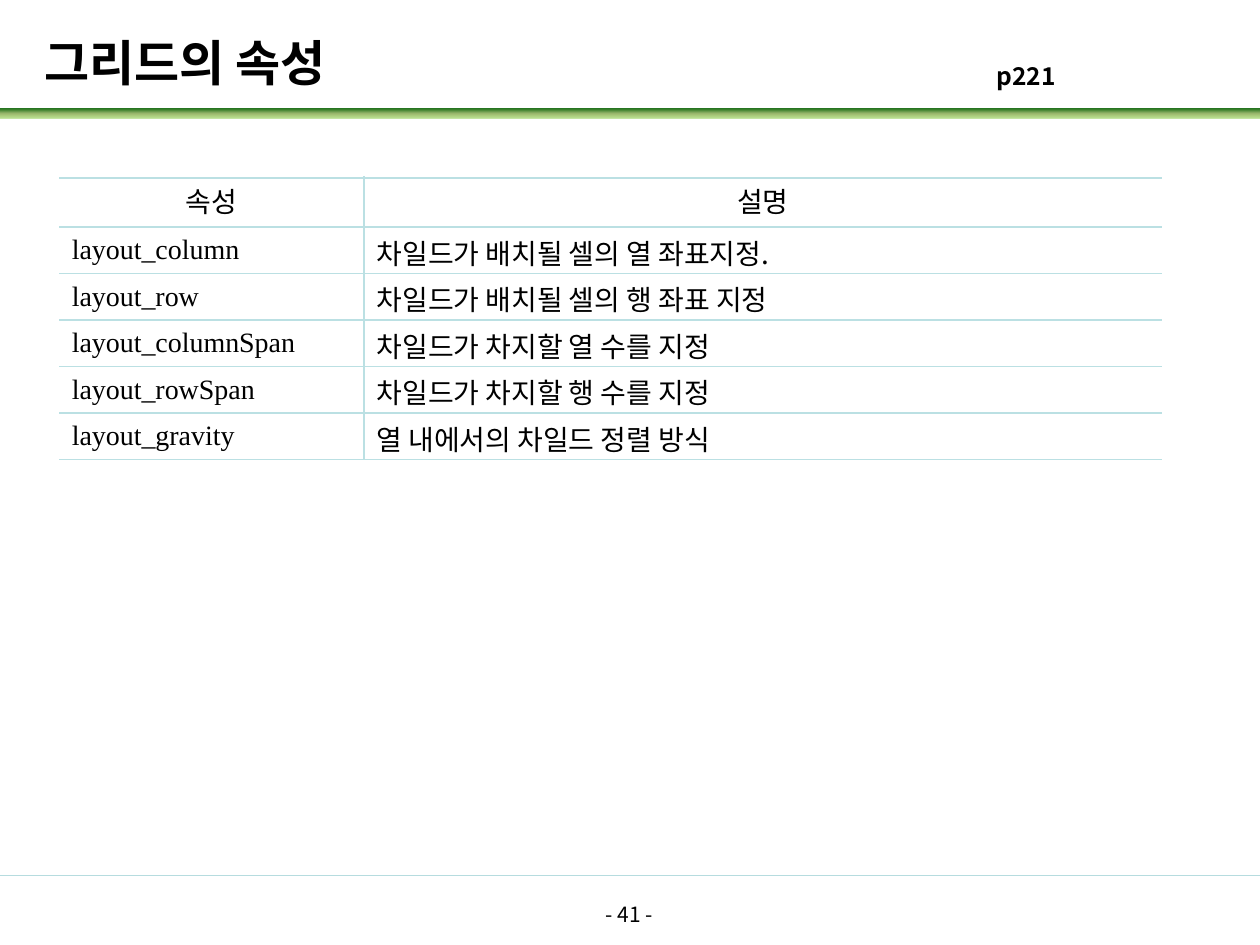
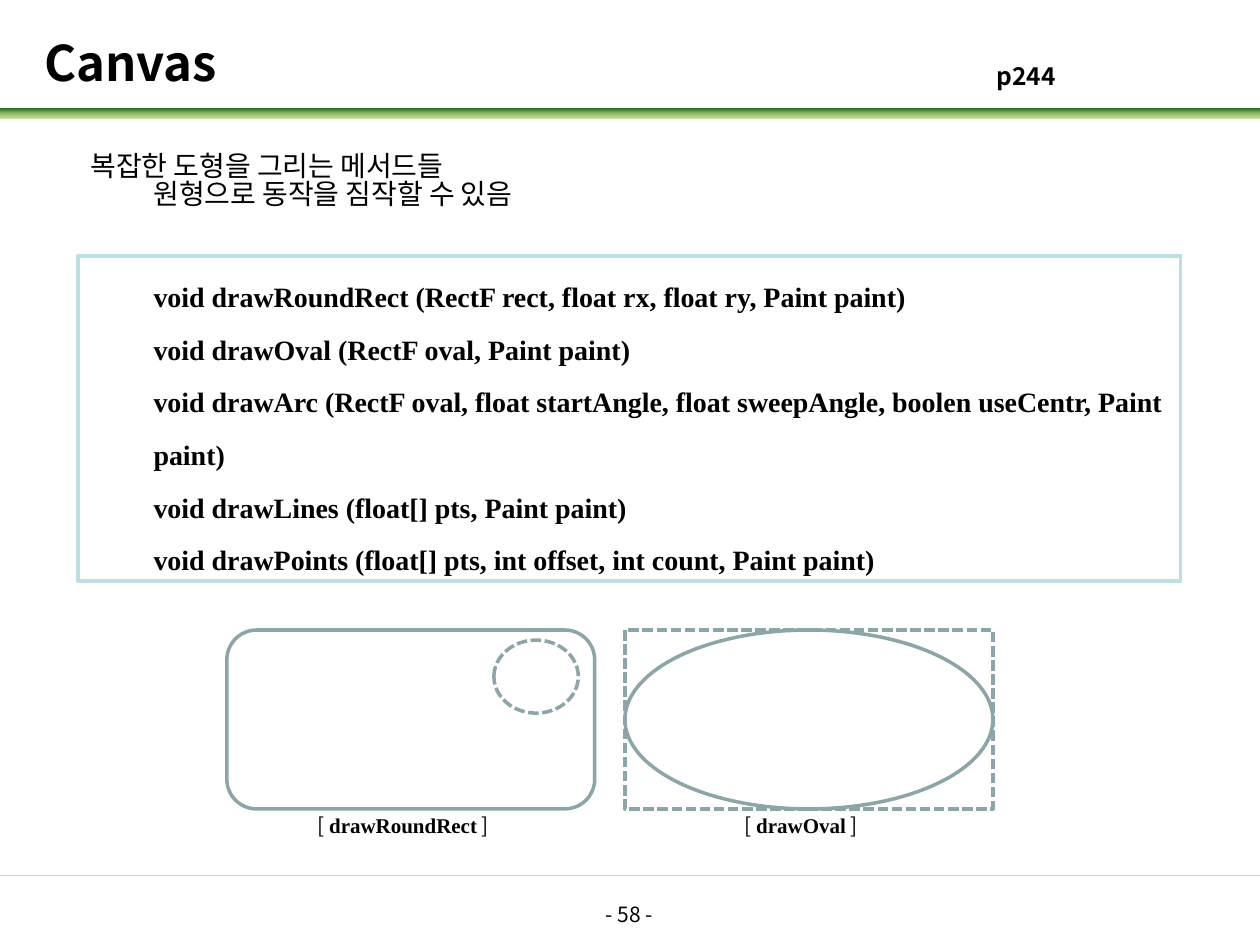
from typing import NamedTuple, Optional

import pptx
import pptx.dml.color
import pptx.enum.dml
import pptx.enum.shapes
import pptx.enum.text
import pptx.oxml
import pptx.oxml.ns
import pptx.util
from lxml import etree

Inches = pptx.util.Inches
Pt = pptx.util.Pt
RGBColor = pptx.dml.color.RGBColor
SHAPE = pptx.enum.shapes.MSO_SHAPE
ALIGN = pptx.enum.text.PP_ALIGN
ANCHOR = pptx.enum.text.MSO_ANCHOR
qn = pptx.oxml.ns.qn

# Shared style
BLACK = RGBColor(0x00, 0x00, 0x00)
RULE = RGBColor(0xB6, 0xDC, 0xDF)
AQUA = RGBColor(0xBB, 0xE0, 0xE3)
SLATE = RGBColor(0x8A, 0xA6, 0xA8)
BAND_LIGHT = RGBColor(0x92, 0xD0, 0x50)
BAND_MID = RGBColor(0x9C, 0xB8, 0x6E)
BAND_DARK = RGBColor(0x15, 0x6B, 0x13)
SANS = "Noto Sans CJK KR"
SERIF = "Times New Roman"
SANS_SPACING = 0.84
CODE_SPACING = 1.57


class Box(NamedTuple):
    left: float
    top: float
    width: float
    height: float

    def lengths(self) -> list:
        return [Inches(v) for v in self]


class Style(NamedTuple):
    size: float
    font: str = SANS
    bold: bool = False
    align: ALIGN = ALIGN.LEFT
    spacing: float = SANS_SPACING


class Line(NamedTuple):
    text: str
    level: int = 0


class Outline(NamedTuple):
    shape: SHAPE
    box: Box
    dashed: bool = False


class Figure(NamedTuple):
    outlines: list[Outline]
    caption: str
    caption_box: Box


TITLE = Style(28, bold=True)
PAGE_REF = Style(14, bold=True)
PAGE_NUMBER = Style(12, align=ALIGN.CENTER)
BODY = Style(16)
HEADER = Style(16, align=ALIGN.CENTER)
ATTRIBUTE = Style(16, SERIF, spacing=1)
CODE = Style(16, SERIF, True, spacing=CODE_SPACING)
CAPTION = Style(12)


def set_font(font, style: Style) -> None:
    font.size, font.bold, font.name = Pt(style.size), style.bold, style.font
    font.color.rgb = BLACK


def write(p, line: Line, style: Style) -> None:
    """Fill one paragraph and set its font, East Asian face included."""
    p.text = line.text
    p.alignment, p.line_spacing = style.align, style.spacing
    if line.level:
        p.level = line.level
        p._p.get_or_add_pPr().set("marL", str(Inches(0.5)))
        p._p.pPr.set("indent", "0")
    set_font(p.font, style)
    ea = etree.SubElement(p._p.pPr.find(qn("a:defRPr")), qn("a:ea"))
    ea.set("typeface", style.font)


def write_lines(tf, lines: list[Line], style: Style) -> None:
    tf.word_wrap = True
    for i, line in enumerate(lines):
        write(tf.add_paragraph() if i else tf.paragraphs[0], line, style)


def add_text(shapes, box: Box, lines: list[Line], style: Style):
    sp = shapes.add_textbox(*box.lengths())
    write_lines(sp.text_frame, lines, style)
    return sp


def add_outline(shapes, outline: Outline, color: RGBColor):
    sp = shapes.add_shape(outline.shape, *outline.box.lengths())
    sp.shadow.inherit = False
    sp.fill.background()
    sp.line.color.rgb, sp.line.width = color, Pt(2)
    if outline.dashed:
        sp.line.dash_style = pptx.enum.dml.MSO_LINE.SQUARE_DOT
    return sp


def add_band(shapes) -> None:
    sp = shapes.add_shape(SHAPE.RECTANGLE, *Box(0, 0.86, 10, 0.08).lengths())
    sp.shadow.inherit = False
    sp.line.fill.background()
    sp.fill.background()
    grad = pptx.oxml.parse_xml(
        f'<a:gradFill {pptx.oxml.ns.nsdecls("a")} rotWithShape="1"><a:gsLst>'
        f'<a:gs pos="0"><a:srgbClr val="{BAND_LIGHT}"><a:alpha val="56000"/></a:srgbClr></a:gs>'
        f'<a:gs pos="50000"><a:srgbClr val="{BAND_MID}"/></a:gs>'
        f'<a:gs pos="100000"><a:srgbClr val="{BAND_DARK}"/></a:gs>'
        '</a:gsLst><a:lin ang="16200000" scaled="0"/></a:gradFill>')
    sp_pr = sp._element.spPr
    sp_pr.replace(sp_pr.find(qn("a:noFill")), grad)


def add_page(prs, title: str, page_ref: str, number: int):
    """Add a slide with band, footer rule, page number, title and page reference."""
    s = prs.slides.add_slide(prs.slide_layouts[6])
    add_band(s.shapes)
    rule = s.shapes.add_connector(pptx.enum.shapes.MSO_CONNECTOR.STRAIGHT,
                                  Inches(0), Inches(6.95), Inches(10), Inches(6.95))
    rule.line.color.rgb, rule.line.width = RULE, Pt(0.75)
    etree.SubElement(rule._element.spPr, qn("a:effectLst"))
    add_text(s.shapes, Box(3.83, 7.14, 2.33, 0.52), [Line(f"- {number} -")], PAGE_NUMBER)
    sp = add_text(s.shapes, Box(0.35, 0.28, 6.12, 0.45), [Line(title)], TITLE)
    sp.text_frame.margin_left = sp.text_frame.margin_right = 0
    add_text(s.shapes, Box(7.81, 0.47, 2.49, 0.34), [Line(page_ref)], PAGE_REF)
    return s


def set_borders(cell, widths: dict[str, Optional[float]]) -> None:
    """Set cell borders by side (L, R, T, B); None hides a side."""
    tc_pr = cell._tc.get_or_add_tcPr()
    for i, (side, width) in enumerate(widths.items()):
        ln = etree.Element(qn(f"a:ln{side}"))
        if width is None:
            etree.SubElement(ln, qn("a:noFill"))
        else:
            ln.set("w", str(Pt(width)))
            fill = etree.SubElement(ln, qn("a:solidFill"))
            etree.SubElement(fill, qn("a:srgbClr")).set("val", str(AQUA))
        tc_pr.insert(i, ln)


def add_attribute_table(shapes, rows: list[tuple[str, str]]) -> None:
    table = shapes.add_table(len(rows), 2, *Box(0.47, 1.41, 8.75, 2.23).lengths()).table
    table.first_row = table.horz_banding = False
    for column, width in zip(table.columns, (2.42, 6.33)):
        column.width = Inches(width)
    for r, texts in enumerate(rows):
        table.rows[r].height = Inches(0.37 if r else 0.39)
        for c, text in enumerate(texts):
            cell = table.cell(r, c)
            cell.fill.background()
            cell.vertical_anchor = ANCHOR.MIDDLE
            if r and c:
                cell.margin_top, cell.margin_bottom = Inches(0.08), Inches(0.02)
            style = (ATTRIBUTE, BODY)[c] if r else HEADER
            write(cell.text_frame.paragraphs[0], Line(text), style)
            set_borders(cell, {"L": 1 if c else None, "R": None if c else 1,
                               "T": 1.5 if r < 2 else 1, "B": 1 if r else 1.5})


def add_figure(shapes, figure: Figure) -> None:
    group = shapes.add_group_shape().shapes
    for outline in figure.outlines:
        add_outline(group, outline, SLATE)
    sp = add_text(group, figure.caption_box, [Line("")], CAPTION)
    p = sp.text_frame.paragraphs[0]
    name_style = Style(12, SERIF, True)
    for text, style in (("[ ", CAPTION), (figure.caption, name_style), (" ]", CAPTION)):
        r = p.add_run()
        r.text = text
        set_font(r.font, style)


ATTRIBUTES = [
    ("속성", "설명"),
    ("layout_column", "차일드가 배치될 셀의 열 좌표지정."),
    ("layout_row", "차일드가 배치될 셀의 행 좌표 지정"),
    ("layout_columnSpan", "차일드가 차지할 열 수를 지정"),
    ("layout_rowSpan", "차일드가 차지할 행 수를 지정"),
    ("layout_gravity", "열 내에서의 차일드 정렬 방식"),
]
METHODS = [
    "void drawRoundRect (RectF rect, float rx, float ry, Paint paint)",
    "void drawOval (RectF oval, Paint paint)",
    "void drawArc (RectF oval, float startAngle, float sweepAngle, boolen useCentr, Paint paint)",
    "void drawLines (float[] pts, Paint paint)",
    "void drawPoints (float[] pts, int offset, int count, Paint paint)",
]
ROUND_RECT_BOX = Box(1.8, 5, 2.92, 1.42)
OVAL_BOX = ROUND_RECT_BOX._replace(left=4.96)
FIGURES = [
    Figure([Outline(SHAPE.ROUNDED_RECTANGLE, ROUND_RECT_BOX),
            Outline(SHAPE.OVAL, Box(3.92, 5.08, 0.67, 0.58), True)],
           "drawRoundRect", Box(2.42, 6.43, 1.65, 0.3)),
    Figure([Outline(SHAPE.RECTANGLE, OVAL_BOX, True), Outline(SHAPE.OVAL, OVAL_BOX)],
           "drawOval", Box(5.81, 6.43, 1.19, 0.3)),
]


def main() -> None:
    prs = pptx.Presentation()
    prs.slide_width, prs.slide_height = Inches(10), Inches(7.5)

    # Grid attributes
    s = add_page(prs, "그리드의 속성", "p221", 41)
    add_attribute_table(s.shapes, ATTRIBUTES)

    # Canvas drawing methods
    s = add_page(prs, "Canvas", "p244", 58)
    add_text(s.shapes, Box(0.62, 1.17, 8.91, 0.64),
             [Line("복잡한 도형을 그리는 메서드들"), Line("원형으로 동작을 짐작할 수 있음", 1)], BODY)
    sp = add_outline(s.shapes, Outline(SHAPE.RECTANGLE, Box(0.62, 2.03, 8.75, 2.58)), AQUA)
    sp.text_frame.vertical_anchor = ANCHOR.MIDDLE
    write_lines(sp.text_frame, [Line(method, 1) for method in METHODS], CODE)
    for figure in FIGURES:
        add_figure(s.shapes, figure)

    prs.save("out.pptx")


if __name__ == "__main__":
    main()
